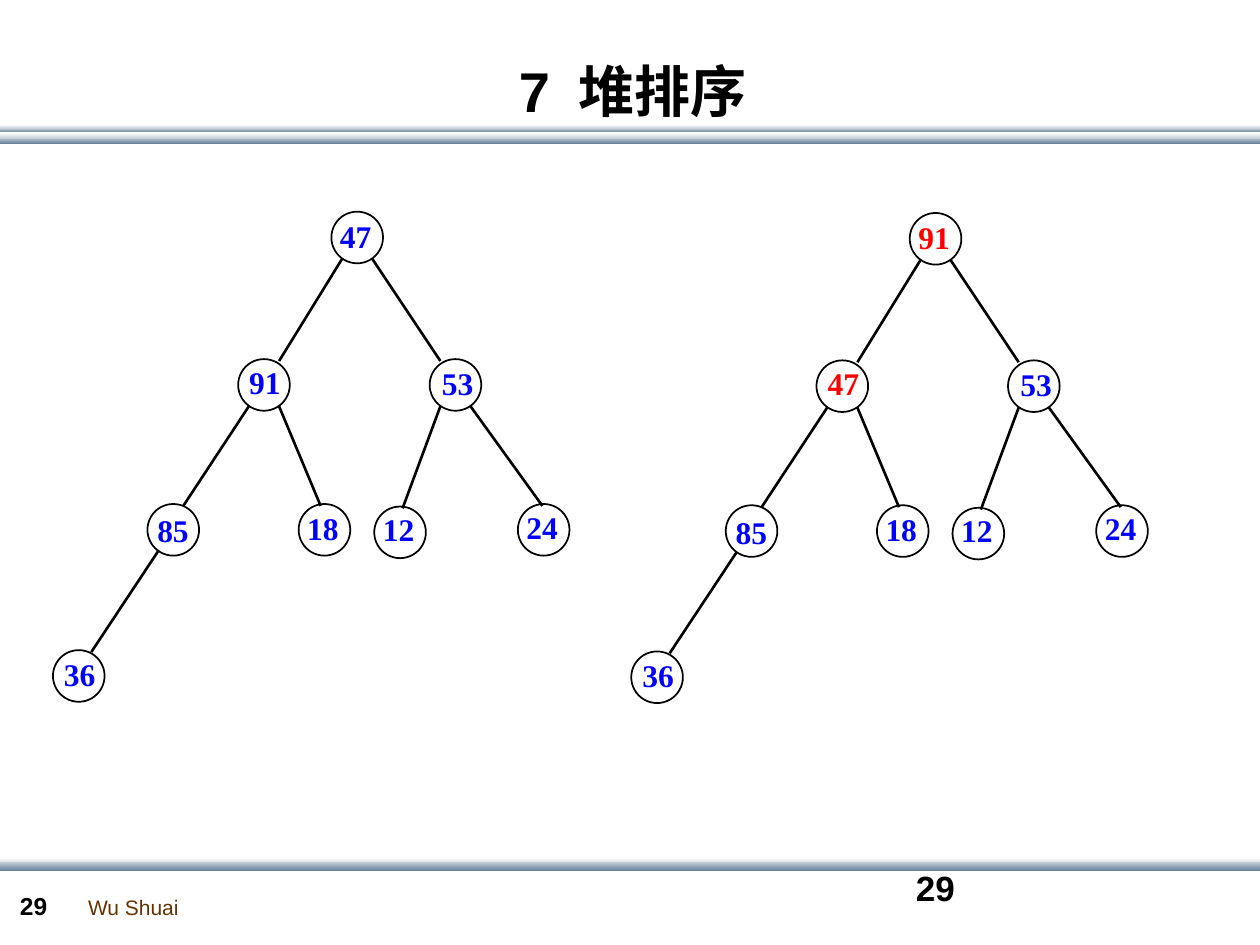
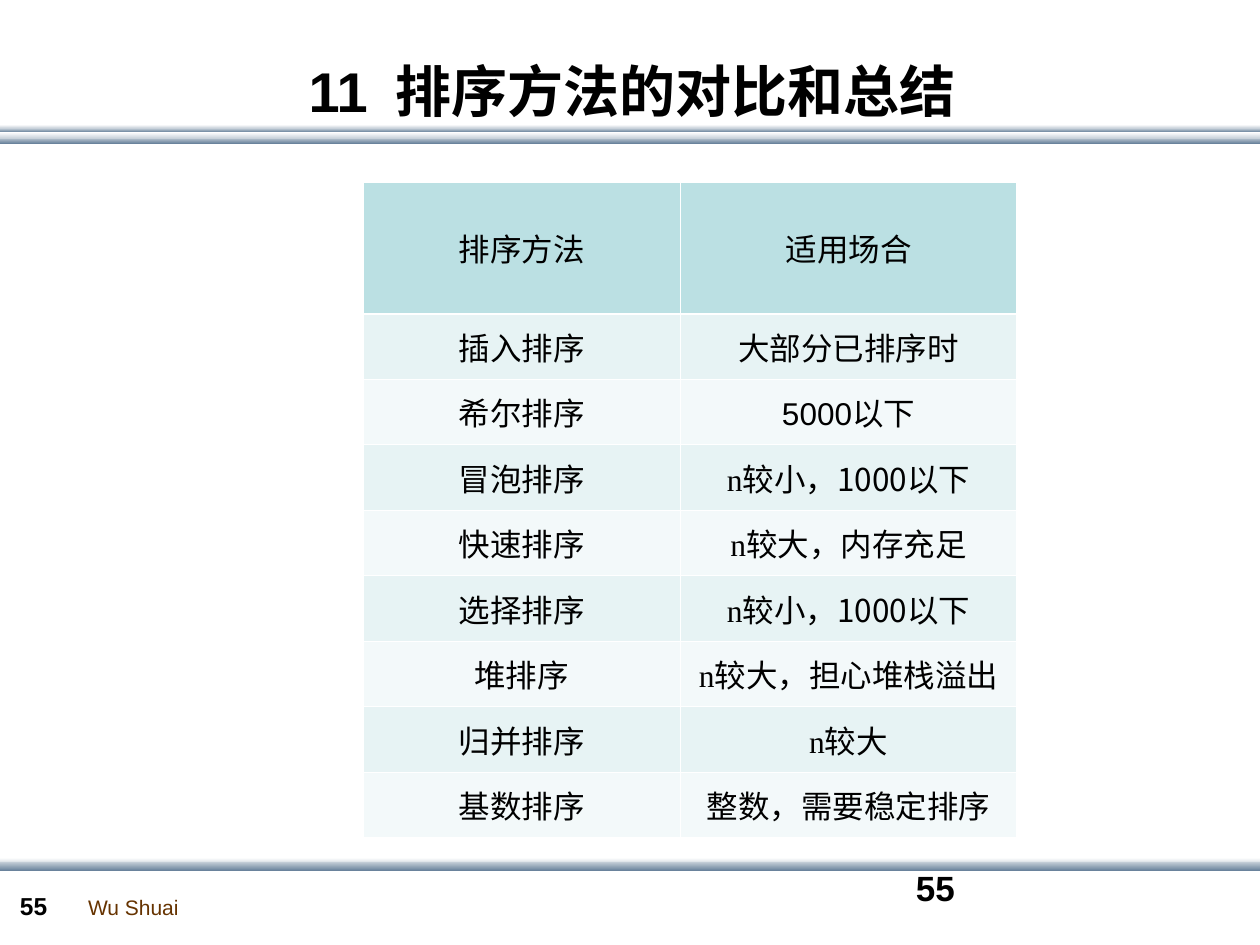
"""Builds two slides on sorting: a heap adjustment and a comparison of methods."""
from lxml import etree
from pptx import Presentation
from pptx import util as u
from pptx.dml.color import RGBColor
from pptx.enum import shapes, text
from pptx.oxml.ns import qn

WIDTH, HEIGHT = 10, 7.5
SANS, SERIF, CHINESE = "Arial", "Times New Roman", "Noto Sans CJK SC"
BLACK, WHITE, BLUE, RED, BROWN = "000000", "FFFFFF", "0000FF", "FF0000", "663300"
PALE, STEEL = "C8D1DA", "6A839C"
HEADER_FILL, ROW_FILLS = "BBE0E3", ("E7F3F4", "F3F9FA")

AUTHOR = "Wu Shuai"
HEAP_TITLE, HEAP_PAGE = "7 堆排序", 29
SUMMARY_TITLE, SUMMARY_PAGE = "11 排序方法的对比和总结", 55

# top, height, upper colour, lower colour
BANDS = [
    (1.09, 0.05, PALE, STEEL),
    (1.02, 0.03, PALE, STEEL),
    (1.05, 0.05, WHITE, PALE),
    (0.99, 0.03, WHITE, PALE),
    (6.81, 0.05, WHITE, PALE),
    (6.84, 0.07, PALE, STEEL),
]

HEAPS = [
    {"values": [47, 91, 53, 85, 18, 12, 24, 36], "swapped": (), "shift": (0, 0)},
    {"values": [91, 47, 53, 85, 18, 12, 24, 36], "swapped": (91, 47), "shift": (4.59, 0.01)},
]
NODE = 0.41
NODE_PLACES = [(2.63, 1.68), (1.89, 2.85), (3.41, 2.85), (1.17, 4), (2.37, 4),
               (2.97, 4.02), (4.11, 4), (0.42, 5.16)]
LABEL_OFFSETS = [(-0.03, -0.01), (-0.01, -0.02), (0, -0.01), (-0.02, 0.01),
                 (-0.03, -0.01), (-0.03, -0.02), (-0.03, -0.02), (-0.01, -0.01)]
EDGE_ENDS = [None, 0.12, -0.12, 0.08, -0.03, 0.02, -0.01, 0.1]

TABLE_AT, COLUMNS, ROW = (2.88, 1.45), (2.52, 2.67), 0.52
LEAD_FONTS = {"n": SERIF, "5000": SANS}
METHODS = [
    ("排序方法", "", "适用场合"),
    ("插入排序", "", "大部分已排序时"),
    ("希尔排序", "5000", "以下"),
    ("冒泡排序", "n", "较小，1000以下"),
    ("快速排序", "n", "较大，内存充足"),
    ("选择排序", "n", "较小，1000以下"),
    ("堆排序", "n", "较大，担心堆栈溢出"),
    ("归并排序", "n", "较大"),
    ("基数排序", "", "整数，需要稳定排序"),
]


def rgb(value):
    return RGBColor.from_string(value)


def inches(*lengths):
    return [u.Inches(length) for length in lengths]


def style(para, size, font, color=BLACK, bold=False, centred=False):
    para.font.size = u.Pt(size)
    para.font.name = font
    para.font.bold = bold
    para.font.color.rgb = rgb(color)
    defaults = para._p.pPr.find(qn("a:defRPr"))
    etree.SubElement(defaults, qn("a:ea"), typeface=CHINESE)
    para.alignment = text.PP_ALIGN.CENTER if centred else text.PP_ALIGN.LEFT


def add_text(page, place, words, size, font=SANS, color=BLACK, bold=True,
             centred=False, wrap=True):
    frame = page.shapes.add_textbox(*inches(*place)).text_frame
    frame.word_wrap = wrap
    if centred:
        frame.vertical_anchor = text.MSO_ANCHOR.MIDDLE
    para = frame.paragraphs[0]
    para.text = str(words)
    style(para, size, font, color, bold, centred)


def add_band(page, top, height, upper, lower):
    band = page.shapes.add_shape(shapes.MSO_SHAPE.RECTANGLE, *inches(0, top, WIDTH, height))
    band.shadow.inherit = False
    band.line.fill.background()
    band.fill.gradient()
    band.fill.gradient_angle = 270
    for stop, color, position in zip(band.fill.gradient_stops, (upper, lower), (0, 1)):
        stop.color.rgb = rgb(color)
        stop.position = position


def add_page(deck, title, number):
    page = deck.slides.add_slide(deck.slide_layouts[6])
    for band in BANDS:
        add_band(page, *band)
    add_text(page, (0.6, 7.05, 0.92, 0.3), AUTHOR, 12, color=BROWN, bold=False, wrap=False)
    add_text(page, (0.06, 7.02, 0.55, 0.34), number, 14)
    add_text(page, (7.17, 6.83, 2.33, 0.5), number, 20)
    heading = title.replace(" ", "\N{EN SPACE}")
    add_text(page, (0.22, 0.44, 9.6, 0.55), heading, 32, centred=True)
    return page


def add_node(page, left, top, label_offset, value, color):
    node = page.shapes.add_shape(shapes.MSO_SHAPE.OVAL, *inches(left, top, NODE, NODE))
    node.shadow.inherit = False
    node.fill.background()
    node.line.color.rgb = rgb(BLACK)
    node.line.width = u.Pt(1)
    across, down = label_offset
    add_text(page, (left + across, top + down, 0.5, 0.4), value, 18, SERIF, color)


def add_edge(page, start, end):
    edge = page.shapes.add_connector(shapes.MSO_CONNECTOR.STRAIGHT, *inches(*start, *end))
    edge.line.color.rgb = rgb(BLACK)
    edge.line.width = u.Pt(1.5)
    etree.SubElement(edge._element.spPr, qn("a:effectLst"))


def add_heap(page, values, swapped, shift):
    places = [(x + shift[0], y + shift[1]) for x, y in NODE_PLACES]
    for place, offset, value in zip(places, LABEL_OFFSETS, values):
        add_node(page, *place, offset, value, RED if value in swapped else BLUE)
    centres = [(x + NODE / 2, y + NODE / 2) for x, y in places]
    for child in range(1, len(values)):
        x, y = centres[(child - 1) // 2]
        side = -1 if child % 2 else 1
        end_x, end_y = centres[child]
        add_edge(page, (x + side * 0.12, y + 0.17), (end_x + EDGE_ENDS[child], end_y - 0.19))


def set_borders(cell, top, bottom):
    widths = {"L": 0.45, "R": 0.45, "T": top, "B": bottom}
    for index, (side, width) in enumerate(widths.items()):
        line = etree.Element(qn(f"a:ln{side}"), w=str(u.Pt(width)))
        fill = etree.SubElement(line, qn("a:solidFill"))
        etree.SubElement(fill, qn("a:srgbClr"), val=WHITE)
        cell._tc.get_or_add_tcPr().insert(index, line)


def fill_cell(cell, row, lead, words):
    cell.vertical_anchor = text.MSO_ANCHOR.MIDDLE
    cell.fill.solid()
    cell.fill.fore_color.rgb = rgb(ROW_FILLS[(row - 1) % 2] if row else HEADER_FILL)
    set_borders(cell, 1.47 if row == 1 else 0.45, 1.47 if row == 0 else 0.45)
    para = cell.text_frame.paragraphs[0]
    if lead:
        span = para.add_run()
        span.text = lead
        span.font.name = LEAD_FONTS[lead]
    para.add_run().text = words
    style(para, 18, CHINESE, centred=True)


def add_summary(page):
    size = (sum(COLUMNS), ROW * (len(METHODS) + 1))
    frame = page.shapes.add_table(len(METHODS), len(COLUMNS), *inches(*TABLE_AT, *size))
    table = frame.table
    table.first_row = table.horz_banding = False
    for column, width in zip(table.columns, COLUMNS):
        column.width = u.Inches(width)
    for row, (method, lead, use) in enumerate(METHODS):
        table.rows[row].height = u.Inches(ROW if row else 2 * ROW)
        fill_cell(table.cell(row, 0), row, "", method)
        fill_cell(table.cell(row, 1), row, lead, use)


def main():
    deck = Presentation()
    deck.slide_width, deck.slide_height = inches(WIDTH, HEIGHT)
    page = add_page(deck, HEAP_TITLE, HEAP_PAGE)
    for heap in HEAPS:
        add_heap(page, **heap)
    add_summary(add_page(deck, SUMMARY_TITLE, SUMMARY_PAGE))
    deck.save("out.pptx")


if __name__ == "__main__":
    main()
